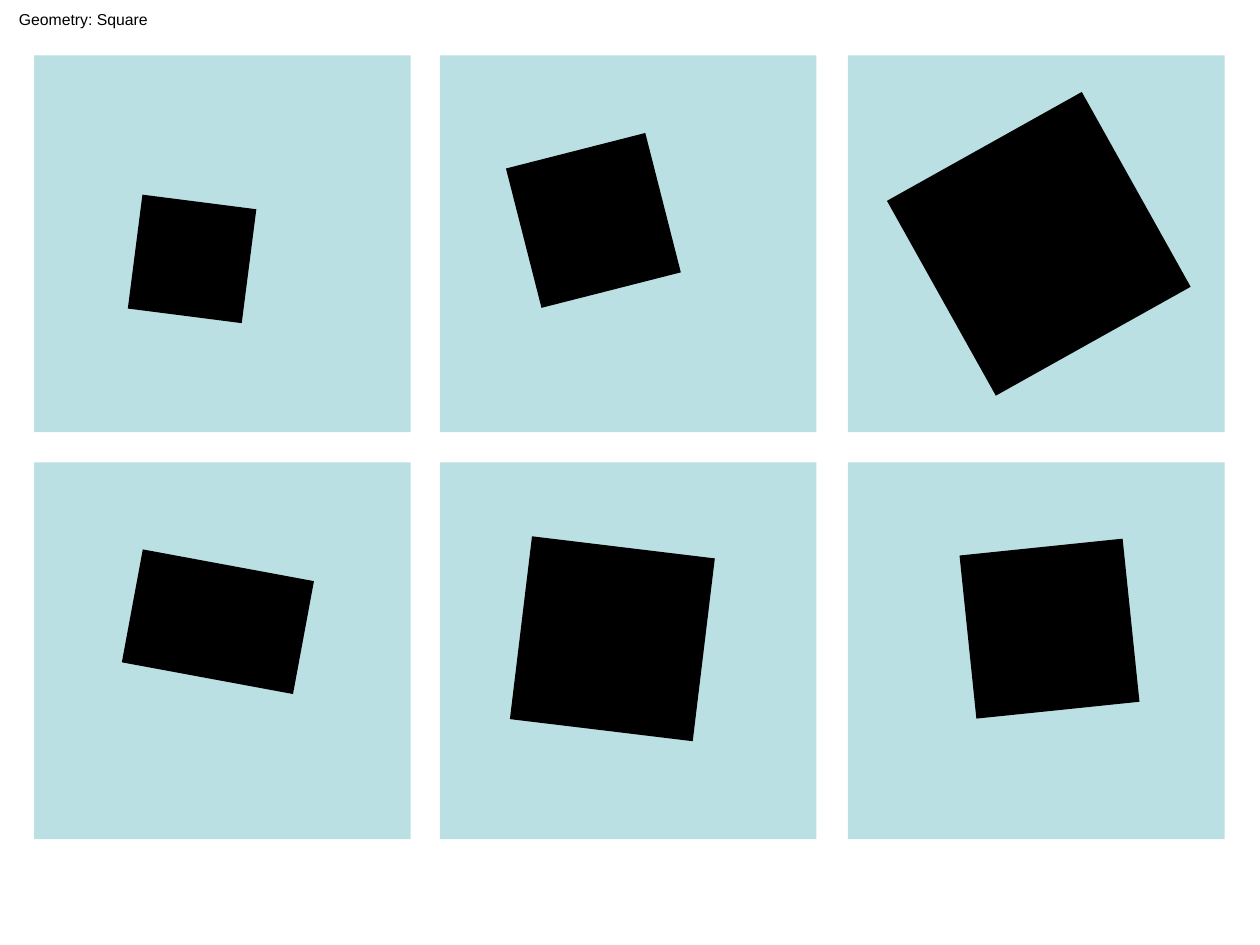
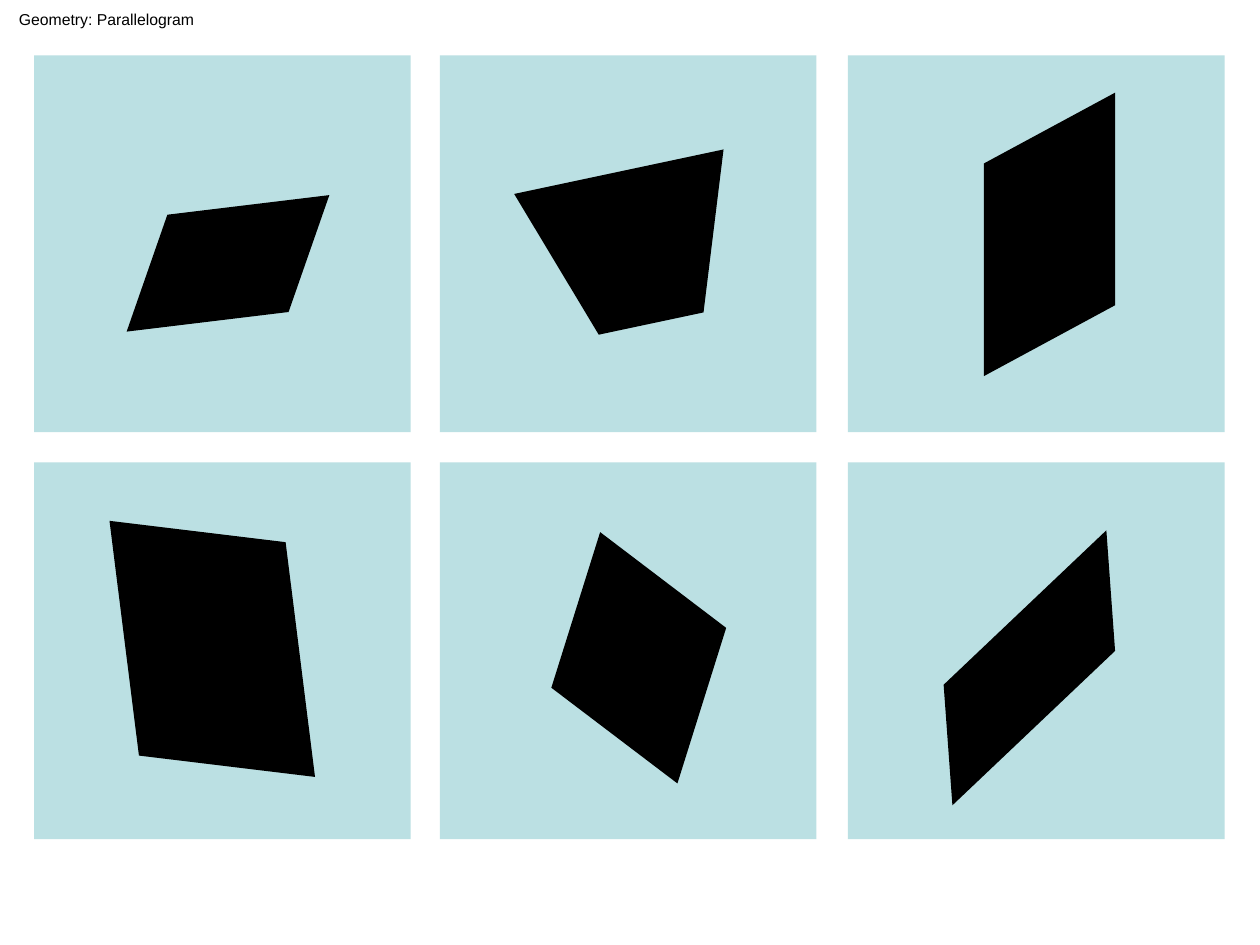
from itertools import product

from lxml.etree import SubElement
from pptx import Presentation
from pptx.dml.color import RGBColor
from pptx.enum.shapes import MSO_SHAPE as SHAPE
from pptx.enum.text import MSO_ANCHOR as ANCHOR, MSO_AUTO_SIZE as AUTOSIZE, PP_ALIGN as ALIGN
from pptx.oxml.ns import qn
from pptx.util import Inches, Pt

COLORS = {"panel": "BBE0E3", "ink": "000000"}
COLUMNS, ROWS = (0.27, 3.49, 6.73), (0.44, 3.67)
PANEL = 2.99
TITLE_FONT = {"name": "Arial", "size": Pt(9), "bold": False}
TITLE_FRAME = {"word_wrap": False, "auto_size": AUTOSIZE.NONE, "vertical_anchor": ANCHOR.TOP,
               "margin_left": Inches(0.09), "margin_right": 0, "margin_top": Inches(0.04)}

# One figure per panel, row by row:
# kind, left and top inside the panel, width, height, rotation, slant, mirrored
LESSONS = [
    ("Geometry: Square", 1.22, [
        ("rect", 0.82, 1.18, 0.87, 0.87, 7.3, None, False),
        ("rect", 0.67, 0.76, 1.10, 1.10, -14.3, None, False),
        ("rect", 0.65, 0.63, 1.73, 1.73, -29.2, None, False),
        ("rect", 0.79, 0.83, 1.34, 0.87, 10.5, None, False),
        ("rect", 0.66, 0.69, 1.42, 1.42, 6.9, None, False),
        ("rect", 0.97, 0.69, 1.26, 1.26, -5.9, None, False),
    ]),
    ("Geometry: Parallelogram", 1.59, [
        ("slanted", 0.71, 1.23, 1.66, 0.84, -6.9, 0.49, False),
        ("trapezoid", 0.73, 0.93, 1.64, 1.19, -12, None, False),
        ("slanted", 0.51, 0.92, 2.18, 1.00, -90, 0.54, True),
        ("slanted", 0.51, 0.59, 1.81, 1.78, 6.9, 0.25, True),
        ("slanted", 0.75, 0.98, 1.66, 1.14, -72.6, 0.36, False),
        ("slanted", 0.29, 1.28, 2.30, 0.70, -43.5, 0.82, False),
    ]),
]
PRESETS = {"rect": SHAPE.RECTANGLE, "slanted": SHAPE.PARALLELOGRAM}


def paint(shape, color, outline=None):
    """Fill a shape; an outline width in points adds a sharp-cornered line."""
    shape.shadow.inherit = False
    shape.fill.solid()
    shape.fill.fore_color.rgb = RGBColor.from_string(COLORS[color])
    if outline is None:
        shape.line.fill.background()
        return
    shape.line.color.rgb = RGBColor.from_string(COLORS[color])
    shape.line.width = Pt(outline)
    SubElement(shape.element.spPr.find(qn("a:ln")), qn("a:miter"), lim="800000")


def add_trapezoid(shapes, left, top, width, height):
    """Draw a trapezoid whose lower side is half as long as its upper side."""
    corners = [(left, top), (left + width, top),
               (left + width * 3 / 4, top + height), (left + width / 4, top + height)]
    points = [(Inches(x), Inches(y)) for x, y in corners]
    outline = shapes.build_freeform(*points[0])
    outline.add_line_segments(points[1:], close=True)
    return outline.convert_to_shape()


prs = Presentation()
prs.slide_width, prs.slide_height = Inches(10), Inches(7.5)
title_only = prs.slide_layouts[5]
panel_corners = [(x, y) for y, x in product(ROWS, COLUMNS)]

for heading, heading_width, figures in LESSONS:
    slide = prs.slides.add_slide(title_only)
    shapes = slide.shapes

    title = shapes.title
    title.left, title.top = Inches(0.06), Inches(0.04)
    title.width, title.height = Inches(heading_width), Inches(0.25)
    title.text = heading
    for key, value in TITLE_FRAME.items():
        setattr(title.text_frame, key, value)
    line = title.text_frame.paragraphs[0]
    line.alignment = ALIGN.LEFT
    font = line.runs[0].font
    for key, value in TITLE_FONT.items():
        setattr(font, key, value)
    font.color.rgb = RGBColor.from_string(COLORS["ink"])

    for x, y in panel_corners:
        panel = shapes.add_shape(SHAPE.RECTANGLE, Inches(x), Inches(y),
                                 Inches(PANEL), Inches(PANEL))
        paint(panel, "panel")

    for (x, y), (kind, dx, dy, width, height, angle, slant, mirrored) in zip(panel_corners, figures):
        box = (x + dx, y + dy, width, height)
        if kind == "trapezoid":
            figure = add_trapezoid(shapes, *box)
        else:
            figure = shapes.add_shape(PRESETS[kind], *map(Inches, box))
        if slant is not None:
            figure.adjustments[0] = slant
        if mirrored:
            figure.element.spPr.find(qn("a:xfrm")).set("flipH", "1")
        figure.rotation = angle
        paint(figure, "ink", outline=3)

prs.save("out.pptx")
